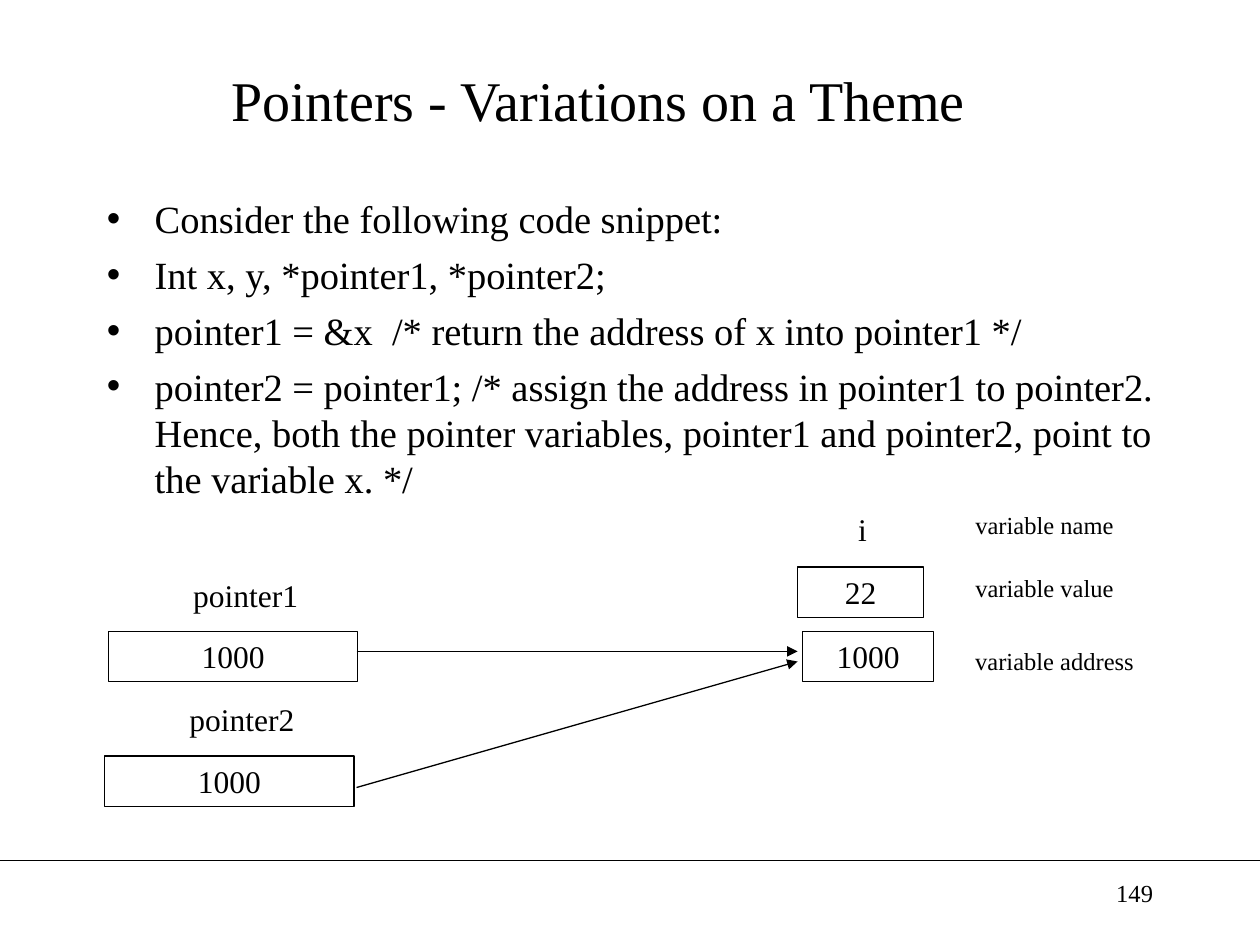
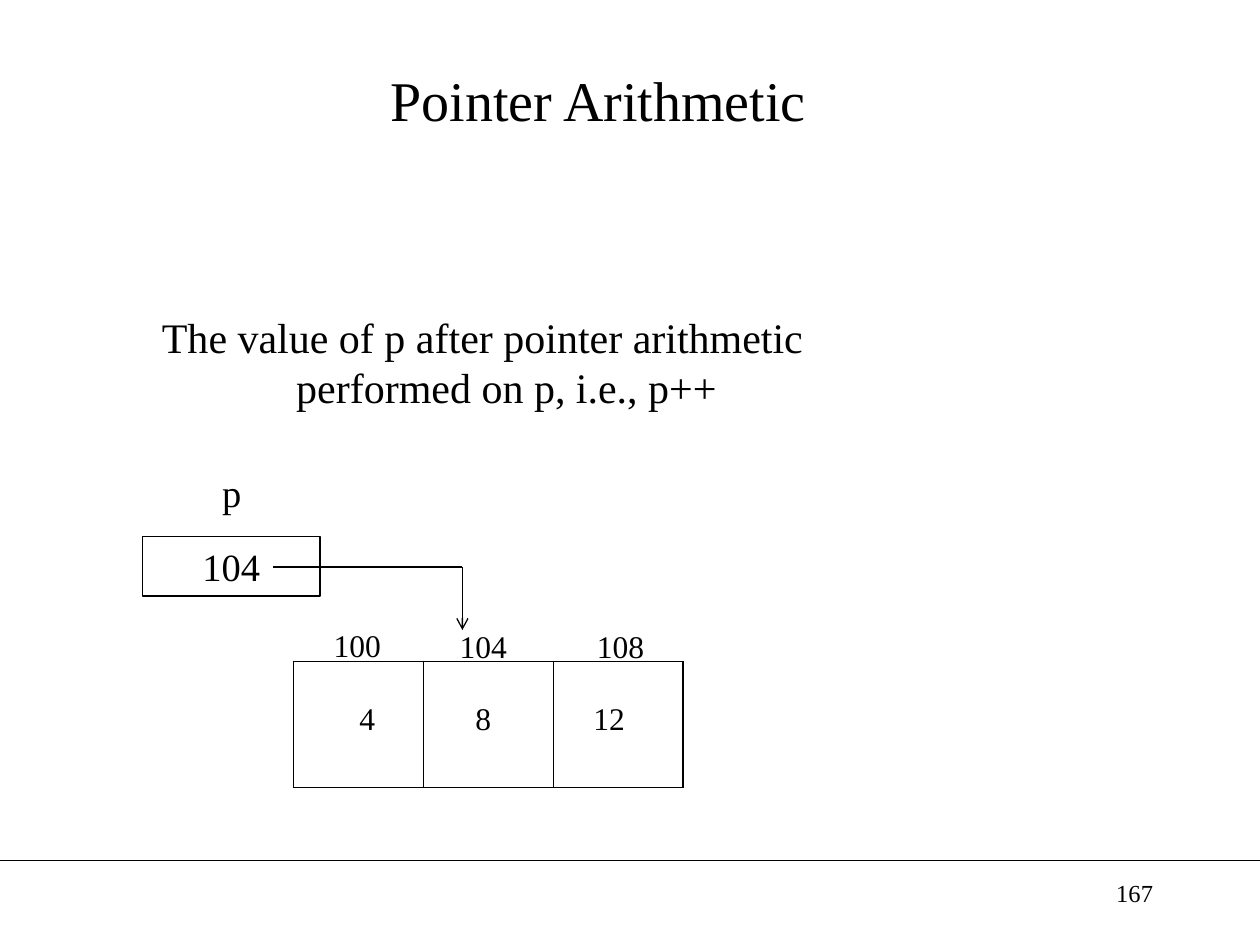
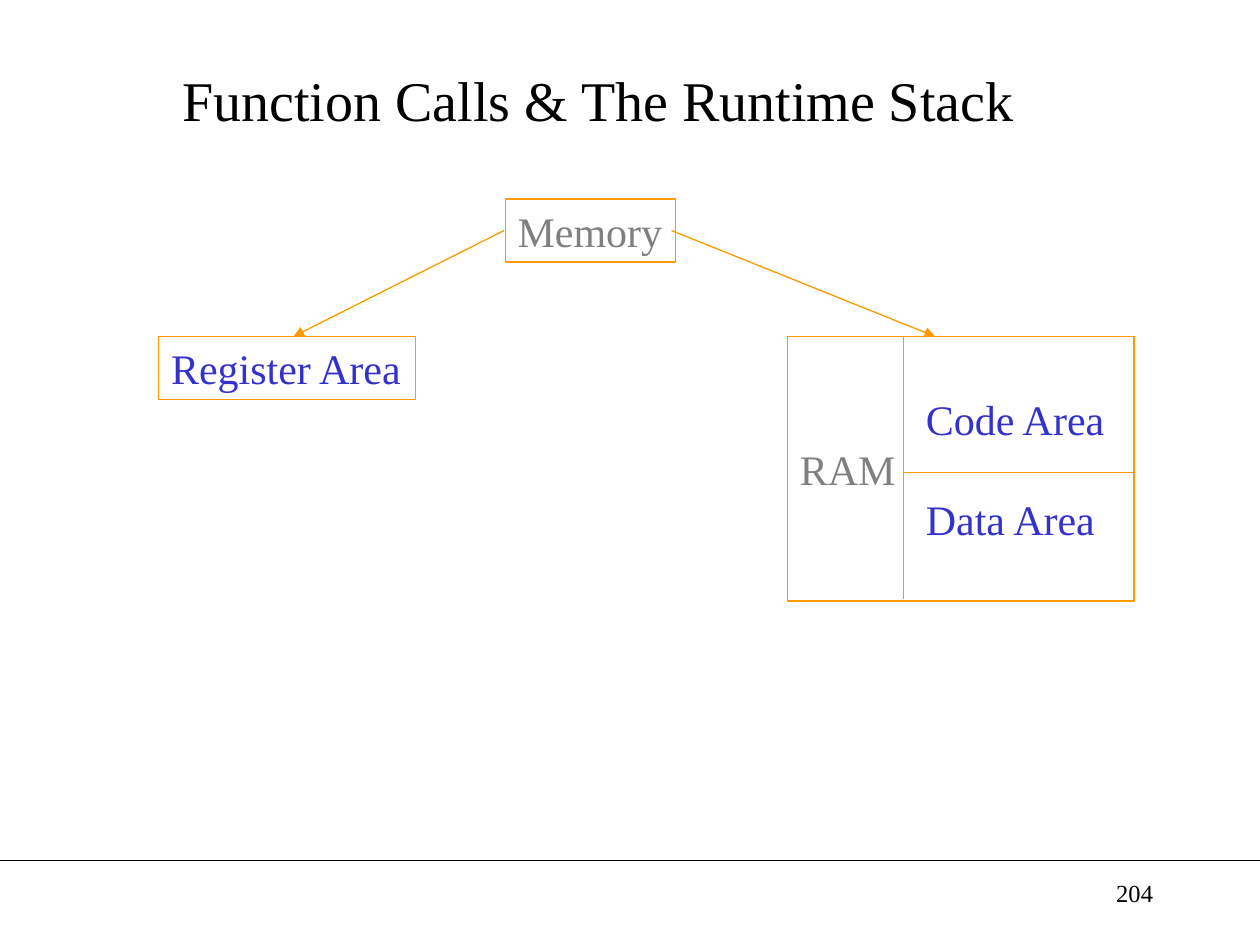
from pptx import Presentation
from pptx.dml.color import RGBColor
from pptx.enum.shapes import MSO_CONNECTOR, MSO_SHAPE
from pptx.enum.text import MSO_ANCHOR as ANCHOR, PP_ALIGN as ALIGN
from pptx.oxml.ns import qn
from pptx.util import Inches, Pt
from lxml.etree import SubElement

BLACK = RGBColor(0x00, 0x00, 0x00)
WHITE = RGBColor(0xFF, 0xFF, 0xFF)
ORANGE = RGBColor(0xFF, 0x99, 0x00)
GRAY = RGBColor(0x80, 0x80, 0x80)
BLUE = RGBColor(0x33, 0x33, 0xCC)
FONT = "Times New Roman"
HANG = 0.38
LINE_HEIGHT = 1.2


# Shared helpers
def style(p, size, color=BLACK, align=ALIGN.LEFT):
    p.alignment = align
    p.font.name = FONT
    p.font.size = Pt(size)
    p.font.color.rgb = color


def indent(p, left, first=0):
    pPr = p._p.get_or_add_pPr()
    pPr.set("marL", str(Inches(left)))
    pPr.set("indent", str(Inches(first)))


def fill_text(sp, text, size, color=BLACK, align=ALIGN.CENTER,
              anchor=ANCHOR.MIDDLE, wrap=False):
    tf = sp.text_frame
    tf.word_wrap = wrap
    tf.vertical_anchor = anchor
    tf.text = text
    style(tf.paragraphs[0], size, color, align)
    return tf.paragraphs[0]


def add_label(s, left, top, width, height, text, size=18, **options):
    sp = s.shapes.add_textbox(Inches(left), Inches(top), Inches(width), Inches(height))
    return fill_text(sp, text, size, **options)


def add_box(s, left, top, width, height, line=BLACK, fill=None):
    sp = s.shapes.add_shape(MSO_SHAPE.RECTANGLE, Inches(left), Inches(top),
                            Inches(width), Inches(height))
    sp.shadow.inherit = False
    if fill is None:
        sp.fill.background()
    else:
        sp.fill.solid()
        sp.fill.fore_color.rgb = fill
    sp.line.color.rgb = line
    sp.line.width = Pt(0.75)
    return sp


def add_line(s, x1, y1, x2, y2, color=BLACK, head=None):
    line = s.shapes.add_connector(MSO_CONNECTOR.STRAIGHT, Inches(x1), Inches(y1),
                                  Inches(x2), Inches(y2))
    line.line.color.rgb = color
    line.line.width = Pt(0.75)
    if head:
        SubElement(line.line._get_or_add_ln(), qn("a:tailEnd"), type=head)
    SubElement(line._element.spPr, qn("a:effectLst"))


def add_slide(prs, title, number):
    s = prs.slides.add_slide(prs.slide_layouts[5])
    add_line(s, 0, 6.83, 10, 6.83)
    sp = s.shapes.title
    sp.left, sp.top, sp.width, sp.height = map(Inches, (0.5, 0.25, 8.5, 1.08))
    fill_text(sp, title, 32, wrap=True)
    add_label(s, 7.17, 6.92, 2.08, 0.5, number, 14, align=ALIGN.RIGHT, anchor=ANCHOR.TOP)
    return s


# Pointers slide
def add_bullets(s, left, top, width, height, items, size=22):
    sp = s.shapes.add_textbox(Inches(left), Inches(top), Inches(width), Inches(height))
    tf = sp.text_frame
    tf.word_wrap = True
    for i, item in enumerate(items):
        p = tf.paragraphs[0] if i == 0 else tf.add_paragraph()
        p.text = item
        p.line_spacing = Pt(size * LINE_HEIGHT)
        if i:
            p.space_before = Pt(5.5)
        indent(p, HANG, -HANG)
        SubElement(p._p.pPr, qn("a:buFont"), typeface="Arial")
        SubElement(p._p.pPr, qn("a:buChar"), char="•")
        style(p, size)


def add_pointer(s, left, top, name, address):
    add_label(s, left + 0.2, top, 1.78, 0.4, name)
    fill_text(add_box(s, left, top + 0.49, 1.98, 0.4), address, 18)


def add_variable(s, left, top):
    add_label(s, left + 0.15, top, 0.73, 0.4, "i")
    fill_text(add_box(s, left, top + 0.5, 1, 0.4), "22", 18)
    fill_text(add_box(s, left + 0.04, top + 1.01, 1.04, 0.4), "1000", 18)
    for dx, dy, text in ((1.17, 0, "variable name"), (1.17, 0.5, "variable value"),
                         (1.25, 1.08, "variable address")):
        add_label(s, left + dx, top + dy, 1.58, 0.34, text, 14, anchor=ANCHOR.TOP)


def pointers_slide(prs):
    s = add_slide(prs, "Pointers - Variations on a Theme", "149")
    add_bullets(s, 0.75, 1.5, 8.5, 5.17, (
        "Consider the following code snippet:",
        "Int x, y, *pointer1, *pointer2;",
        "pointer1 = &x  /* return the address of x into pointer1 */",
        "pointer2 = pointer1; /* assign the address in pointer1 to pointer2. "
        "Hence, both the pointer variables, pointer1 and pointer2, point to "
        "the variable x. */",
    ))
    add_variable(s, 6.33, 4)
    add_pointer(s, 0.86, 4.52, "pointer1", "1000")
    add_pointer(s, 0.83, 5.51, "pointer2", "1000")
    add_line(s, 2.83, 5.17, 6.33, 5.17, head="triangle")
    add_line(s, 2.83, 6.25, 6.33, 5.25, head="triangle")


# Pointer arithmetic slide
def set_borders(cell, widths):
    tcPr = cell._tc.get_or_add_tcPr()
    for i, (side, width) in enumerate(widths.items()):
        ln = tcPr.makeelement(qn(f"a:ln{side}"), {"w": str(Pt(width))})
        fill = SubElement(ln, qn("a:solidFill"))
        SubElement(fill, qn("a:srgbClr"), val=str(BLACK))
        tcPr.insert(i, ln)


def add_array(s, left, top, width, height):
    frame = s.shapes.add_table(1, 3, Inches(left), Inches(top),
                               Inches(width), Inches(height))
    table = frame.table
    table.first_row = table.horz_banding = False
    outer, inner = 1.08, 0.45
    for i in range(3):
        cell = table.cell(0, i)
        cell.fill.background()
        set_borders(cell, {"L": inner if i else outer, "R": inner if i < 2 else outer,
                           "T": outer, "B": outer})
    # Addresses above the cells, values inside them
    for dx, dy, address in ((0.17, -0.33, "100"), (1.17, -0.32, "104"), (2.26, -0.32, "108")):
        add_label(s, left + dx, top + dy, 0.67, 0.4, address)
    for dx, value in ((0.25, "4"), (1.17, "8"), (2.17, "12")):
        add_label(s, left + dx, top + 0.25, 0.67, 0.4, value)


def arithmetic_slide(prs):
    s = add_slide(prs, "Pointer Arithmetic", "167")
    add_array(s, 2.33, 5.25, 3.09, 1)
    fill_text(add_box(s, 1.13, 4.26, 1.41, 0.47), "104", 22)
    add_label(s, 1.29, 3.67, 1.1, 0.47, "p", 22)
    p = add_label(s, 1.08, 2.42, 5.5, 0.9,
                  "The value of p after pointer arithmetic performed on p, i.e., p++",
                  24, anchor=ANCHOR.TOP, wrap=True)
    indent(p, HANG, -HANG)
    p.line_spacing = Pt(24 * LINE_HEIGHT)
    add_line(s, 2.17, 4.5, 3.67, 4.5)
    add_line(s, 3.67, 4.5, 3.67, 5, head="arrow")


# Runtime stack slide
def add_area(s, left, top, width, text, color):
    sp = add_box(s, left, top, width, 0.5, ORANGE, WHITE)
    fill_text(sp, text, 24, color, ALIGN.LEFT, ANCHOR.TOP)


def add_ram(s, left, top, width, height):
    tf = add_box(s, left, top, width, height, ORANGE, WHITE).text_frame
    tf.word_wrap = True
    tf.vertical_anchor = ANCHOR.TOP
    tf.margin_top = Inches(0.45)
    areas = (("Code Area", BLUE, 1), ("RAM", GRAY, 0), ("Data Area", BLUE, 1))
    for i, (text, color, offset) in enumerate(areas):
        p = tf.paragraphs[0] if i == 0 else tf.add_paragraph()
        p.text = text
        p.line_spacing = Pt(24 * LINE_HEIGHT)
        indent(p, offset)
        style(p, 24, color)
    divider = left + 0.92
    add_line(s, divider, top, divider, top + height - 0.02, ORANGE)
    add_line(s, divider, top + 1.08, left + width, top + 1.08, ORANGE)


def stack_slide(prs):
    s = add_slide(prs, "Function Calls & The Runtime Stack", "204")
    add_area(s, 4.01, 1.58, 1.35, "Memory", GRAY)
    add_area(s, 1.26, 2.67, 2.04, "Register Area", BLUE)
    add_ram(s, 6.25, 2.67, 2.75, 2.1)
    add_line(s, 4, 1.83, 2.33, 2.67, ORANGE, "triangle")
    add_line(s, 5.33, 1.83, 7.42, 2.67, ORANGE, "triangle")


def main():
    prs = Presentation()
    prs.slide_width, prs.slide_height = Inches(10), Inches(7.5)
    pointers_slide(prs)
    arithmetic_slide(prs)
    stack_slide(prs)
    prs.save("out.pptx")


if __name__ == "__main__":
    main()
